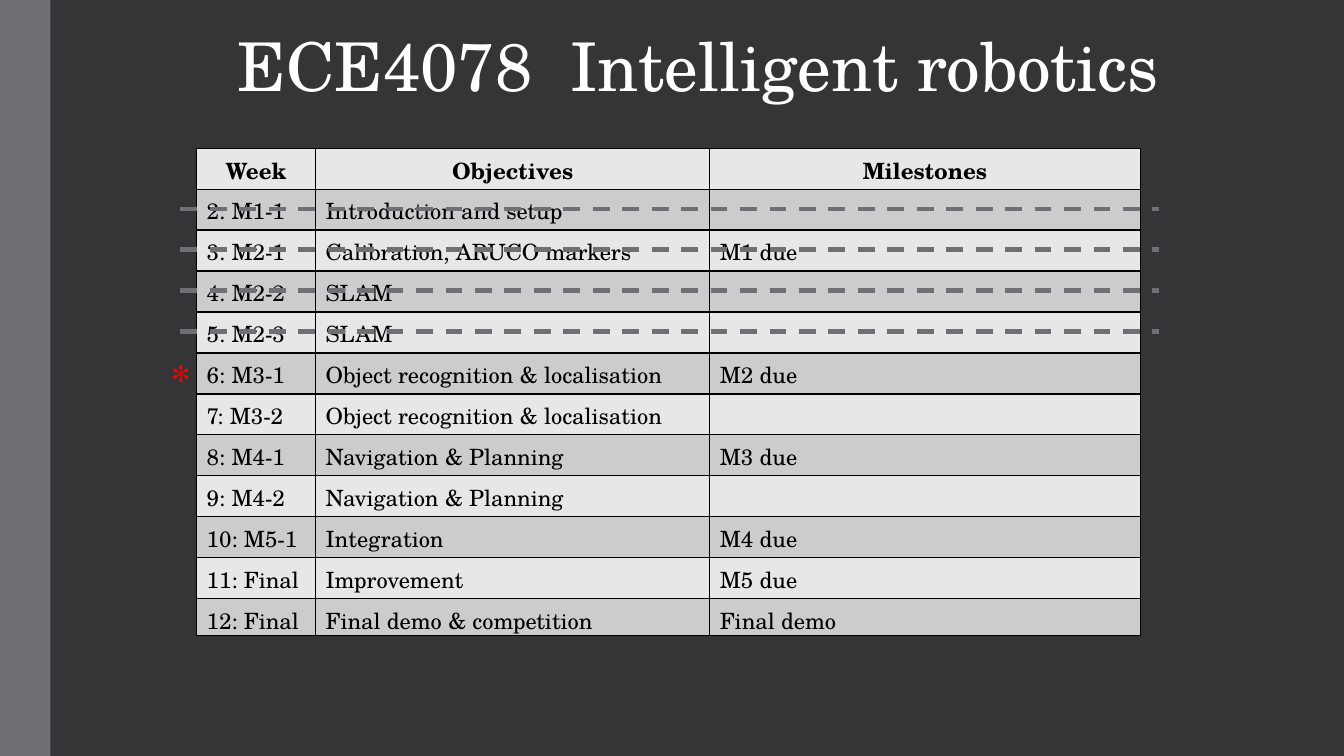
from lxml import etree
from pptx import Presentation
from pptx.dml.color import RGBColor
from pptx.enum.dml import MSO_LINE
from pptx.enum.shapes import MSO_CONNECTOR, MSO_SHAPE
from pptx.enum.text import PP_ALIGN
from pptx.oxml.ns import qn
from pptx.util import Inches, Pt

LEFT, CENTER = PP_ALIGN.LEFT, PP_ALIGN.CENTER
RECTANGLE, STRAIGHT, DASH = MSO_SHAPE.RECTANGLE, MSO_CONNECTOR.STRAIGHT, MSO_LINE.DASH

THEME = {
    "font": "TeX Gyre Schola",
    "title_size": 48, "cell_size": 16, "marker_size": 28,
    "background": "353537", "accent": "6F6F74", "title": "FFFFFF",
    "ink": "000000", "marker": "FF0000",
    "bands": ("E7E7E7", "CCCCCC"),
}

# Grid of the schedule, in inches
TABLE_LEFT, TABLE_TOP, TABLE_HEIGHT = 1.95, 1.47, 4.83
COLUMNS = (1.18, 3.91, 4.27)
LAST_ROW = 0.36

SCHEDULE = [
    ("Week", "Objectives", "Milestones"),
    ("2: M1-1", "Introduction and setup", ""),
    ("3: M2-1", "Calibration, ARUCO markers", "M1 due"),
    ("4: M2-2", "SLAM", ""),
    ("5: M2-3", "SLAM", ""),
    ("6: M3-1", "Object recognition & localisation", "M2 due"),
    ("7: M3-2", "Object recognition & localisation", ""),
    ("8: M4-1", "Navigation & Planning", "M3 due"),
    ("9: M4-2", "Navigation & Planning", ""),
    ("10: M5-1", "Integration", "M4 due"),
    ("11: Final", "Improvement", "M5 due"),
    ("12: Final", "Final demo & competition", "Final demo"),
]
ROW = (TABLE_HEIGHT - LAST_ROW) / (len(SCHEDULE) - 1)
WEEKS_DONE = 4


def write(frame, text, size, color, align=LEFT, bold=False):
    paragraph = frame.paragraphs[0]
    paragraph.alignment = align
    run = paragraph.add_run()
    run.text = text
    run.font.name = THEME["font"]
    run.font.size = Pt(size)
    run.font.bold = bold
    run.font.color.rgb = RGBColor.from_string(color)


def add_borders(cell):
    properties = cell._tc.get_or_add_tcPr()
    for position, side in enumerate(("a:lnL", "a:lnR", "a:lnT", "a:lnB")):
        border = etree.Element(qn(side), w=str(Pt(1)))
        fill = etree.SubElement(border, qn("a:solidFill"))
        etree.SubElement(fill, qn("a:srgbClr"), val=THEME["ink"])
        properties.insert(position, border)


presentation = Presentation()
presentation.slide_width = Inches(13.33)
presentation.slide_height = Inches(7.5)
slide = presentation.slides.add_slide(presentation.slide_layouts[6])
shapes = slide.shapes

# Background and side band
slide.background.fill.solid()
slide.background.fill.fore_color.rgb = RGBColor.from_string(THEME["background"])
side_band = shapes.add_shape(RECTANGLE, 0, 0, Inches(0.5), presentation.slide_height)
side_band.shadow.inherit = False
side_band.fill.solid()
side_band.fill.fore_color.rgb = RGBColor.from_string(THEME["accent"])
side_band.line.fill.background()

# Title
title = shapes.add_textbox(Inches(0.52), Inches(0.19), Inches(12.81), Inches(0.91))
title.text_frame.word_wrap = True
write(title.text_frame, "ECE4078  Intelligent robotics", THEME["title_size"], THEME["title"], CENTER)

# Schedule
schedule = shapes.add_table(
    len(SCHEDULE), len(COLUMNS), Inches(TABLE_LEFT), Inches(TABLE_TOP),
    Inches(sum(COLUMNS)), Inches(TABLE_HEIGHT)).table
for column, width in zip(schedule.columns, COLUMNS):
    column.width = Inches(width)
for r, entries in enumerate(SCHEDULE):
    is_header = r == 0
    schedule.rows[r].height = Inches(LAST_ROW if r == len(SCHEDULE) - 1 else ROW)
    for c, entry in enumerate(entries):
        cell = schedule.cell(r, c)
        cell.fill.solid()
        cell.fill.fore_color.rgb = RGBColor.from_string(THEME["bands"][r % 2])
        add_borders(cell)
        if entry:
            write(cell.text_frame, entry, THEME["cell_size"], THEME["ink"],
                  CENTER if is_header else LEFT, is_header)

# Marker of the current week
marker = shapes.add_textbox(Inches(1.6), Inches(3.48), Inches(0.36), Inches(0.57))
marker.text_frame.word_wrap = True
write(marker.text_frame, "*", THEME["marker_size"], THEME["marker"])

# Strikes through the finished weeks
for week in range(WEEKS_DONE):
    y = Inches(2.07 + week * ROW)
    strike = shapes.add_connector(STRAIGHT, Inches(1.79), y, Inches(11.5), y)
    strike.line.color.rgb = RGBColor.from_string(THEME["accent"])
    strike.line.width = Pt(3)
    strike.line.dash_style = DASH
    etree.SubElement(strike._element.spPr, qn("a:effectLst"))

presentation.save("out.pptx")
